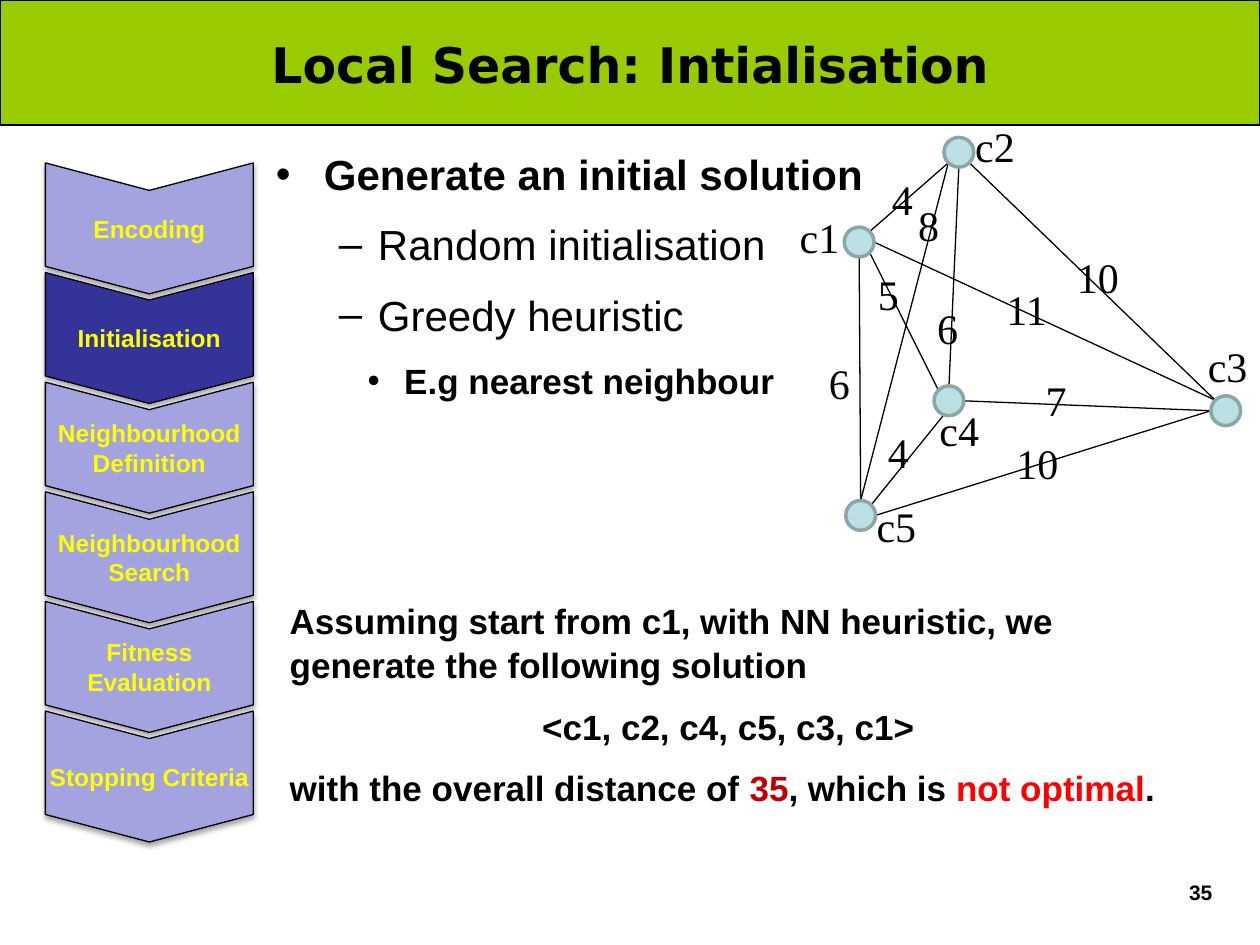
from math import cos, radians, sin

from lxml.etree import SubElement
from pptx import Presentation
from pptx.dml.color import RGBColor
from pptx.enum.shapes import MSO_CONNECTOR as CXN, MSO_SHAPE as SHAPE
from pptx.enum.text import MSO_ANCHOR as ANCHOR, MSO_AUTO_SIZE as AUTO, PP_ALIGN as ALIGN
from pptx.oxml.ns import qn
from pptx.util import Cm, Pt

COLORS = {
    "black": "000000", "header": "99CC00", "step": "A3A3E0", "active": "333399",
    "step_text": "FFFF00", "node": "BBE0E3", "node_line": "8AA6A8",
    "dark_red": "C00000", "red": "FF0000",
}
STEPS = ["Encoding", "Initialisation", "Neighbourhood Definition",
         "Neighbourhood Search", "Fitness Evaluation", "Stopping Criteria"]
ACTIVE_STEP = "Initialisation"
RADIUS = 0.3
NODES = {"c1": (17.32, 4.88), "c2": (19.33, 3.07), "c3": (24.71, 8.28),
         "c4": (19.13, 8.08), "c5": (17.35, 10.39)}
EDGES = [
    ("c2", 135, "c1", -45), ("c2", 45, "c3", 225), ("c1", 45, "c4", 225),
    ("c3", 225, "c1", 0), ("c2", 90, "c4", 270), ("c3", 180, "c4", 0),
    ("c4", 110, "c5", -45), ("c1", 90, "c5", 270), ("c5", 0, "c3", 180),
    ("c2", 135, "c5", 270),
]
NODE_LABELS = [("c1", 15.85, 4.14), ("c2", 19.41, 2.31), ("c3", 24.1, 6.73),
               ("c4", 18.69, 8.03), ("c5", 17.4, 9.96)]
DISTANCES = [("10", 21.46, 4.95), ("4", 17.73, 3.38), ("5", 17.45, 5.28),
             ("7", 20.83, 7.42), ("11", 20.04, 5.59), ("6", 18.64, 5.97),
             ("4", 17.65, 8.48), ("10", 20.24, 8.69), ("6", 16.46, 7.09),
             ("8", 18.26, 3.89)]
BULLETS = [
    ("Generate an initial solution", 24, True, 0.97, 0.97, "•"),
    ("Random initialisation", 24, False, 2.06, 0.79, "–"),
    ("Greedy heuristic", 24, False, 2.06, 0.79, "–"),
    ("E.g nearest neighbour", 20, True, 2.59, 0.74, "•"),
]
RESULT = [
    ([("Assuming start from c1, with NN heuristic, we generate the following solution",
       "black")], ALIGN.LEFT, 112),
    ([("<c1, c2, c4, c5, c3, c1>", "black")], ALIGN.CENTER, 10),
    ([("with the overall distance of ", "black"), ("35", "dark_red"),
      (", which is ", "black"), ("not optimal", "red"), (".", "black")], ALIGN.LEFT, 10),
]


def rgb(name):
    """Return the named palette colour."""
    return RGBColor.from_string(COLORS[name])


def style_run(r, size, bold=False, color="black", font="Arial"):
    """Format one run."""
    r.font.size, r.font.bold, r.font.name = Pt(size), bold, font
    r.font.color.rgb = rgb(color)


def set_text(sp, text, size, align=ALIGN.CENTER, **style):
    """Write a single formatted paragraph into a shape."""
    tf = sp.text_frame
    tf.text = text
    p = tf.paragraphs[0]
    p.alignment = align
    style_run(p.runs[0], size, **style)


def add_text(s, box, text, size, align, wrap=True, **style):
    """Add a text box with one line of text."""
    sp = s.shapes.add_textbox(*map(Cm, box))
    sp.text_frame.word_wrap = wrap
    set_text(sp, text, size, align, **style)
    return sp


def add_shape(s, kind, box, fill, line="black", width=0.75):
    """Add a filled and outlined preset shape without shadow."""
    sp = s.shapes.add_shape(kind, *map(Cm, box))
    sp.fill.solid()
    sp.fill.fore_color.rgb = rgb(fill)
    sp.line.color.rgb = rgb(line)
    sp.line.width = Pt(width)
    sp.shadow.inherit = False
    return sp


def add_shadow(sp):
    """Give a shape a soft shadow that falls straight down."""
    effects = sp.element.spPr.find(qn("a:effectLst"))
    shadow = SubElement(effects, qn("a:outerShdw"), blurRad="40000", dist="23000",
                        dir="5400000", rotWithShape="0")
    color = SubElement(shadow, qn("a:srgbClr"), val=COLORS["black"])
    SubElement(color, qn("a:alpha"), val="35000")


def add_step(s, index, label):
    """Add one downward chevron of the process column."""
    fill = "active" if label == ACTIVE_STEP else "step"
    sp = add_shape(s, SHAPE.CHEVRON, (1.69, 2.51 + 2.21 * index, 2.64, 4.19), fill)
    sp.adjustments[0] = 0.21
    sp.rotation = 90
    add_shadow(sp)
    tf = sp.text_frame
    tf.margin_left = tf.margin_right = tf.margin_top = tf.margin_bottom = 0
    tf.vertical_anchor = ANCHOR.MIDDLE
    tf.word_wrap = True
    sp.element.txBody.find(qn("a:bodyPr")).set("vert", "vert270")
    set_text(sp, label, 14, bold=True, color="step_text")


def add_paragraph(tf, runs, size, bold, before, margin, hanging=0, bullet=None,
                  align=ALIGN.LEFT):
    """Append a body paragraph, bulleted if a character is given."""
    p = tf.paragraphs[0] if not tf.text else tf.add_paragraph()
    p.alignment, p.line_spacing, p.space_before = align, 1.05, Pt(before)
    pPr = p._p.get_or_add_pPr()
    pPr.set("marL", str(Cm(margin)))
    pPr.set("indent", str(-Cm(hanging)))
    if bullet:
        SubElement(pPr, qn("a:buFont"), typeface="Arial")
        SubElement(pPr, qn("a:buChar"), char=bullet)
    for text, color in runs:
        r = p.add_run()
        r.text = text
        style_run(r, size, bold, color)


def add_body(s):
    """Add the bullet list and the resulting solution."""
    tf = s.shapes.add_textbox(Cm(5.31), Cm(2.82), Cm(18.47), Cm(14.2)).text_frame
    tf.word_wrap = True
    for text, size, bold, margin, hanging, bullet in BULLETS:
        add_paragraph(tf, [(text, "black")], size, bold, 10, margin, hanging, bullet)
    for runs, align, before in RESULT:
        add_paragraph(tf, runs, 20, True, before, 0.28, align=align)


def rim_point(node, angle):
    """Return the point on a node's rim at a clockwise angle from the right."""
    x, y = NODES[node]
    return Cm(x + RADIUS * cos(radians(angle))), Cm(y + RADIUS * sin(radians(angle)))


def add_edge(s, start, start_angle, end, end_angle):
    """Join two nodes with a thin line."""
    line = s.shapes.add_connector(CXN.STRAIGHT, *rim_point(start, start_angle),
                                  *rim_point(end, end_angle))
    line.line.color.rgb = rgb("black")
    line.line.width = Pt(0.75)
    SubElement(line._element.spPr, qn("a:effectLst"))


def add_label(s, text, x, y, width, align=ALIGN.LEFT):
    """Add a serif label of the graph."""
    sp = add_text(s, (x, y, width, 1.27), text, 24, align, wrap=False,
                  font="Times New Roman")
    sp.text_frame.auto_size = AUTO.SHAPE_TO_FIT_TEXT


def add_graph(s):
    """Draw the city graph with its distances."""
    for edge in EDGES:
        add_edge(s, *edge)
    for x, y in NODES.values():
        add_shape(s, SHAPE.OVAL, (x - RADIUS, y - RADIUS, 2 * RADIUS, 2 * RADIUS),
                  "node", "node_line", 2)
    for text, x, y in NODE_LABELS:
        add_label(s, text, x, y, 1.32, ALIGN.RIGHT if text in ("c1", "c5") else ALIGN.LEFT)
    for text, x, y in DISTANCES:
        add_label(s, text, x, y, 0.5 + 0.46 * len(text))


def main():
    """Build the slide and save it."""
    prs = Presentation()
    prs.slide_width, prs.slide_height = Cm(25.4), Cm(19.05)
    s = prs.slides.add_slide(prs.slide_layouts[6])
    add_shape(s, SHAPE.RECTANGLE, (0, 0, 25.4, 2.52), "header")
    title = add_text(s, (0.9, 0.05, 23.6, 2.49), "Local Search: Intialisation", 28,
                     ALIGN.CENTER, bold=True, font="DejaVu Sans")
    title.text_frame.vertical_anchor = ANCHOR.MIDDLE
    add_body(s)
    add_text(s, (21.9, 17.6, 2.79, 1.32), "35", 12, ALIGN.RIGHT, bold=True)
    for index, label in enumerate(STEPS):
        add_step(s, index, label)
    add_graph(s)
    prs.save("out.pptx")


if __name__ == "__main__":
    main()
